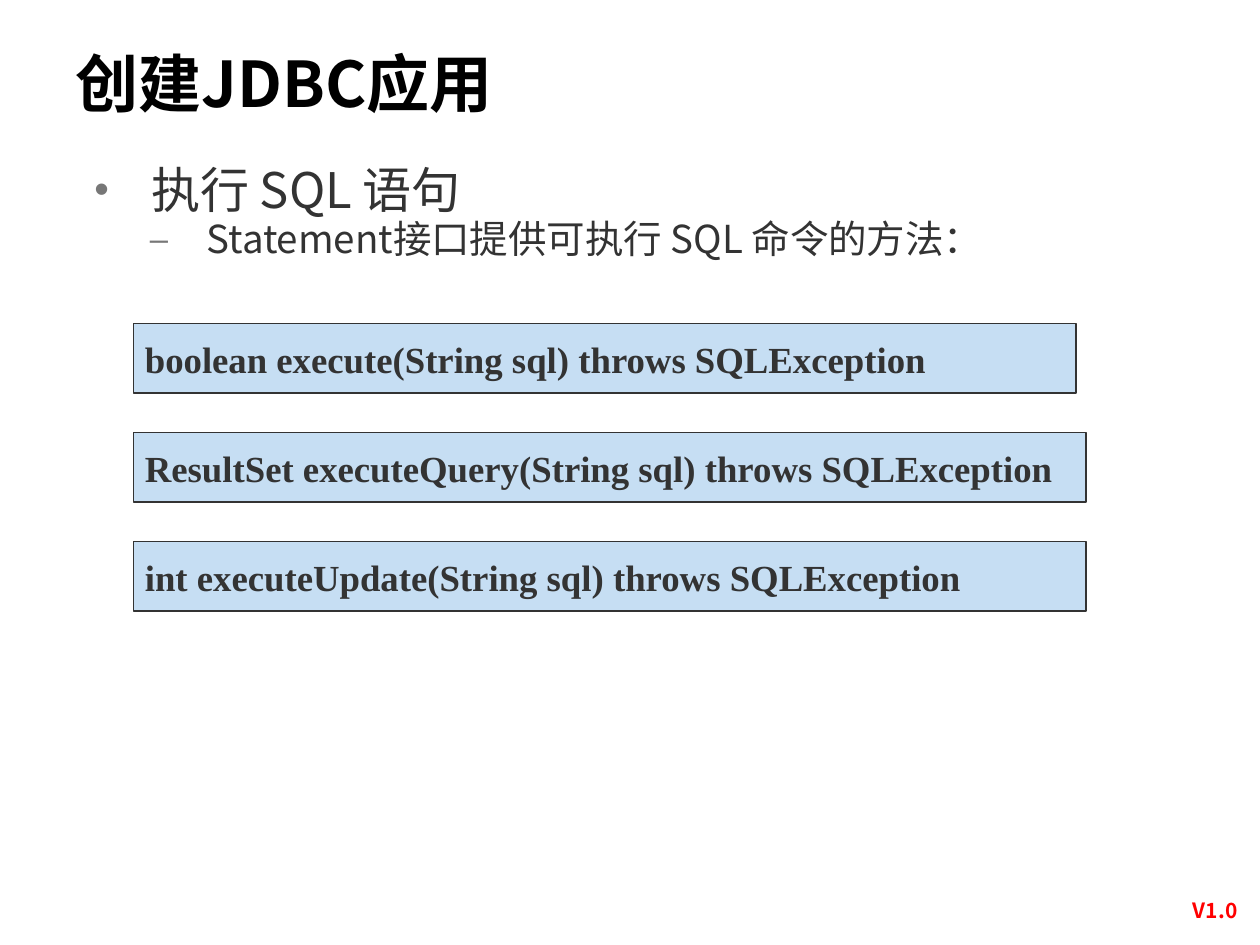
from pptx import Presentation
from pptx.dml.color import RGBColor
from pptx.enum.shapes import MSO_SHAPE
from pptx.enum.text import MSO_ANCHOR, PP_ALIGN
from pptx.oxml.ns import qn
from pptx.util import Inches, Pt
from lxml import etree

RECT = MSO_SHAPE.RECTANGLE
TOP, MID = MSO_ANCHOR.TOP, MSO_ANCHOR.MIDDLE
LEFT, MIDDLE = PP_ALIGN.LEFT, PP_ALIGN.CENTER
WIDE, HIGH = 10, 7.5
STEP = 1.73 / 2
SANS, SERIF, SIGN = "Noto Sans CJK SC", "Times New Roman", "Arial"
INK, GREY, BLUE = "333333", "777777", "C6DEF3"

HEAD = dict(size=Pt(36), bold=True, name=SANS)
MARK = dict(size=Pt(12), bold=True, name=SANS)
CODE = dict(size=Pt(21), bold=True, name=SERIF)
ITEMS = [
    ("执行 SQL 语句", 28, 0, 0.45, "•", 1.0),
    ("Statement接口提供可执行 SQL 命令的方法：", 22, 1, 0.89, "–", 0.95),
]
CALLS = [
    ("boolean execute(String sql) throws SQLException", 7.48),
    ("ResultSet executeQuery(String sql) throws SQLException", 7.56),
    ("int executeUpdate(String sql) throws SQLException", 7.56),
]


def paint(color, tone):
    color.rgb = RGBColor.from_string(tone)


def assign(target, values):
    for key, value in values.items():
        setattr(target, key, value)


def area(left, top, width, height):
    return [Inches(n) for n in (left, top, width, height)]


def write(para, text, form, tone, align=LEFT):
    para.alignment = align
    run = para.add_run()
    run.text = text
    assign(run.font, form)
    paint(run.font.color, tone)
    east = etree.SubElement(run.font._element, qn("a:ea"))
    east.set("typeface", form["name"])


def frame(shape, anchor, side, edge):
    text = shape.text_frame
    assign(text, dict(
        word_wrap=True, vertical_anchor=anchor,
        margin_left=Inches(side), margin_right=Inches(side),
        margin_top=Inches(edge), margin_bottom=Inches(edge)))
    return text


def label(slide, box, text, form, tone, align=LEFT, anchor=TOP):
    shape = slide.shapes.add_textbox(*box)
    para = frame(shape, anchor, 0.1, 0.05).paragraphs[0]
    write(para, text, form, tone, align)


def bullet(para, sign, indent):
    props = para._p.get_or_add_pPr()
    props.set("marL", str(Inches(indent)))
    props.set("indent", str(Inches(-0.45)))
    color = etree.SubElement(props, qn("a:buClr"))
    etree.SubElement(color, qn("a:srgbClr")).set("val", GREY)
    etree.SubElement(props, qn("a:buSzPct")).set("val", "85000")
    etree.SubElement(props, qn("a:buFont")).set("typeface", SIGN)
    etree.SubElement(props, qn("a:buChar")).set("char", sign)


def outline(slide, box):
    shape = slide.shapes.add_textbox(*box)
    text = frame(shape, TOP, 0.08, 0.04)
    for row, (words, size, level, indent, sign, space) in enumerate(ITEMS):
        para = text.add_paragraph() if row else text.paragraphs[0]
        assign(para, dict(level=level, line_spacing=space))
        bullet(para, sign, indent)
        write(para, words, dict(size=Pt(size), name=SANS), INK)


def panel(slide, box, text):
    shape = slide.shapes.add_shape(RECT, *box)
    shape.shadow.inherit = False
    shape.fill.solid()
    paint(shape.fill.fore_color, BLUE)
    paint(shape.line.color, INK)
    shape.line.width = Pt(0.75)
    para = frame(shape, MID, 0.09, 0.04).paragraphs[0]
    write(para, text, CODE, INK)


def main():
    deck = Presentation()
    assign(deck, dict(slide_width=Inches(WIDE), slide_height=Inches(HIGH)))
    slide = deck.slides.add_slide(deck.slide_layouts[6])
    label(slide, area(9.25, 7.07, 0.79, 0.3),
          "V1.0", MARK, "FF0000", MIDDLE, MID)
    label(slide, area(0.05 * WIDE, 0.04 * HIGH, 8.92, 0.65),
          "创建JDBC应用", HEAD, "000000")
    outline(slide, area(0.67, 1.23, 8.74, 0.55 * HIGH))
    for row, (text, width) in enumerate(CALLS):
        panel(slide, area(1.06, 2.57 + row * STEP, width, 0.55), text)
    deck.save("out.pptx")


if __name__ == "__main__":
    main()
